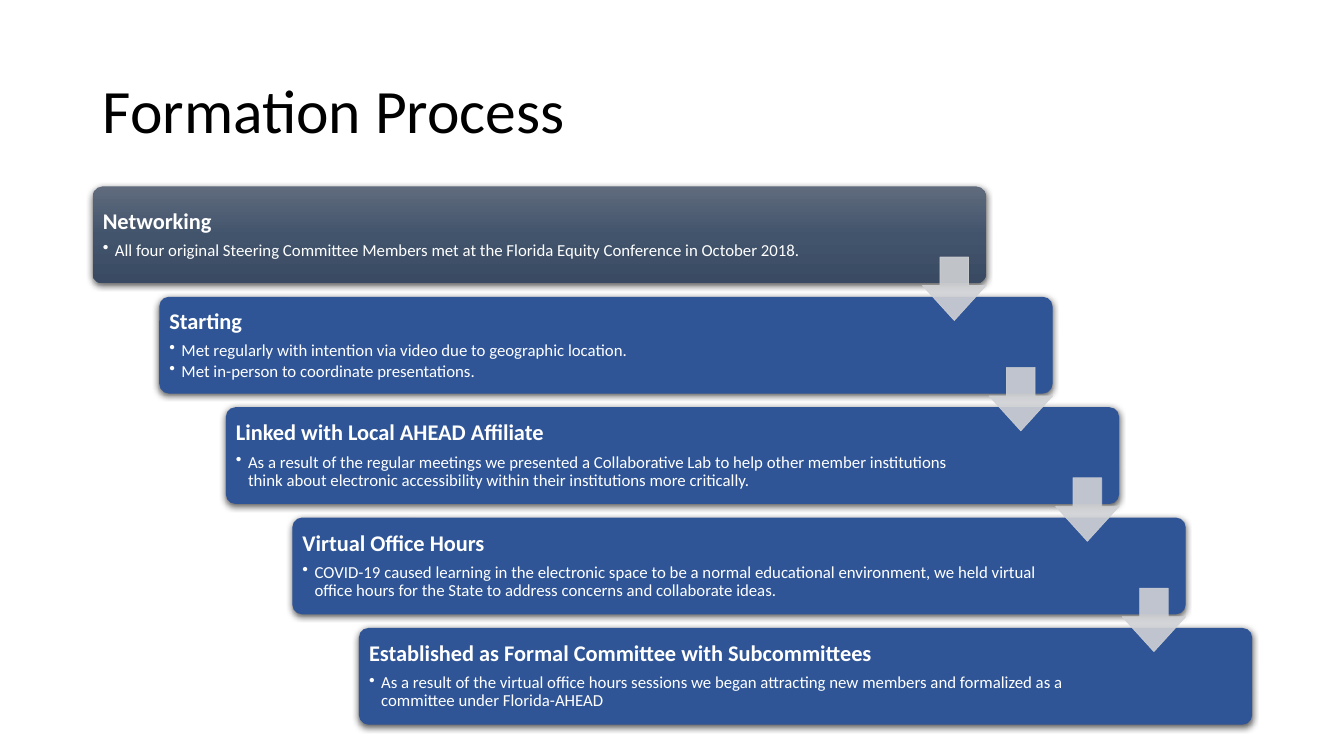
from pptx import Presentation
from pptx.dml.color import RGBColor
from pptx.enum.shapes import MSO_SHAPE as Shape
from pptx.enum.text import MSO_ANCHOR as Anchor
from pptx.oxml import parse_xml
from pptx.oxml.ns import nsdecls, qn
from pptx.util import Inches, Pt

# Content
TITLE = "Formation Process"
STEPS = [
    ("Networking", [
        "All four original Steering Committee Members met at the Florida Equity "
        "Conference in October 2018."]),
    ("Starting", [
        "Met regularly with intention via video due to geographic location.",
        "Met in-person to coordinate presentations."]),
    ("Linked with Local AHEAD Affiliate", [
        "As a result of the regular meetings we presented a Collaborative Lab to help "
        "other member institutions think about electronic accessibility within their "
        "institutions more critically."]),
    ("Virtual Office Hours", [
        "COVID-19 caused learning in the electronic space to be a normal educational "
        "environment, we held virtual office hours for the State to address concerns "
        "and collaborate ideas."]),
    ("Established as Formal Committee with Subcommittees", [
        "As a result of the virtual office hours sessions we began attracting new "
        "members and formalized as a committee under Florida-AHEAD"]),
]

# Staircase layout in inches
LEFT, TOP = 0.92, 1.85
STEP_X, STEP_Y = 0.66, 1.095
BAR_WIDTH, BAR_HEIGHT = 8.86, 0.96
TEXT_INSET, FIRST_TEXT_WIDTH, TEXT_WIDTH = 0.03, 7.7, 7.51
ARROW_SIZE, ARROW_DROP = 0.63, 0.7

# Formats
FONT = "Calibri"
BLUE, GREY, WHITE, BLACK = "2F5597", "CFD1D4", "FFFFFF", "000000"
FIRST_GRADIENT = [(0, "606B7D"), (50, "42546C"), (100, "394A62")]
TITLE_FORMAT = {"size": Pt(44), "bold": False}
HEADING_FORMAT = {"size": Pt(16), "bold": True}
BULLET_FORMAT = {"size": Pt(12), "bold": False}

presentation = Presentation()
presentation.slide_width, presentation.slide_height = Inches(13.33), Inches(7.5)
slide = presentation.slides.add_slide(presentation.slide_layouts[6])


def rgb(value):
    return RGBColor.from_string(value)


def place(left, top, width, height):
    return [Inches(length) for length in (left, top, width, height)]


def add_text_box(box, margin):
    frame = slide.shapes.add_textbox(*place(*box)).text_frame
    settings = {"word_wrap": True, "vertical_anchor": Anchor.MIDDLE}
    settings.update({f"margin_{side}": Inches(margin)
                     for side in ("left", "right")})
    settings.update({f"margin_{side}": Inches(min(margin, 0.07))
                     for side in ("top", "bottom")})
    for name, value in settings.items():
        setattr(frame, name, value)
    return frame


def write(paragraph, text, color, font_format, space_after=0):
    paragraph.line_spacing = 0.9
    paragraph.space_after = Pt(space_after)
    run = paragraph.add_run()
    run.text = text
    run.font.color.rgb = rgb(color)
    for name, value in {"name": FONT, **font_format}.items():
        setattr(run.font, name, value)


def add_bullet(paragraph):
    properties = paragraph._p.get_or_add_pPr()
    properties.set("marL", str(Inches(0.12)))
    properties.set("indent", str(-Inches(0.12)))
    properties.append(parse_xml(f'<a:buChar {nsdecls("a")} char="•"/>'))


def add_preset(preset, box, adjustments, color):
    shape = slide.shapes.add_shape(preset, *place(*box))
    for index, value in enumerate(adjustments):
        shape.adjustments[index] = value
    shape.fill.solid()
    shape.fill.fore_color.rgb = rgb(color)
    shape.line.fill.background()
    shape.shadow.inherit = False
    return shape


def add_shadow(shape):
    effects = shape._element.spPr.find(qn("a:effectLst"))
    effects.append(parse_xml(
        f'<a:outerShdw {nsdecls("a")} blurRad="{Pt(4.5)}" dist="{Pt(1.5)}" '
        f'dir="5400000" rotWithShape="0"><a:srgbClr val="{BLACK}">'
        '<a:alpha val="63000"/></a:srgbClr></a:outerShdw>'))


def set_gradient(shape, stops):
    solid = shape._element.spPr.find(qn("a:solidFill"))
    stop_xml = "".join(
        f'<a:gs pos="{position * 1000}"><a:srgbClr val="{color}"/></a:gs>'
        for position, color in stops)
    solid.getparent().replace(solid, parse_xml(
        f'<a:gradFill {nsdecls("a")} rotWithShape="1"><a:gsLst>{stop_xml}</a:gsLst>'
        '<a:lin ang="5400000" scaled="0"/></a:gradFill>'))


# Title
title = add_text_box((LEFT, 0.4, 11.5, 1.45), 0.1)
write(title.paragraphs[0], TITLE, BLACK, TITLE_FORMAT)

# Step bars with their text
for index, (heading, bullets) in enumerate(STEPS):
    left, top = LEFT + index * STEP_X, TOP + index * STEP_Y
    bar = add_preset(Shape.ROUNDED_RECTANGLE, (left, top, BAR_WIDTH, BAR_HEIGHT),
                     [0.1], BLUE)
    add_shadow(bar)
    if index == 0:
        set_gradient(bar, FIRST_GRADIENT)
    text_width = TEXT_WIDTH if index else FIRST_TEXT_WIDTH
    frame = add_text_box((left + TEXT_INSET, top + TEXT_INSET, text_width,
                          BAR_HEIGHT - 2 * TEXT_INSET), 0.07)
    write(frame.paragraphs[0], heading, WHITE, HEADING_FORMAT, 5.6)
    for bullet in bullets:
        paragraph = frame.add_paragraph()
        write(paragraph, bullet, WHITE, BULLET_FORMAT, 1.8)
        add_bullet(paragraph)

# Arrows from each step to the next, flush with the bar's right edge
for index in range(len(STEPS) - 1):
    left = LEFT + BAR_WIDTH - ARROW_SIZE + index * STEP_X
    top = TOP + ARROW_DROP + index * STEP_Y
    arrow = add_preset(Shape.DOWN_ARROW, (left, top, ARROW_SIZE, ARROW_SIZE),
                       [0.45, 0.55], GREY)
    arrow.line.color.rgb = rgb(GREY)
    arrow.line.width = Pt(0.5)
    for color in arrow._element.spPr.iter(qn("a:srgbClr")):
        color.append(parse_xml(f'<a:alpha {nsdecls("a")} val="90000"/>'))

presentation.save("out.pptx")
